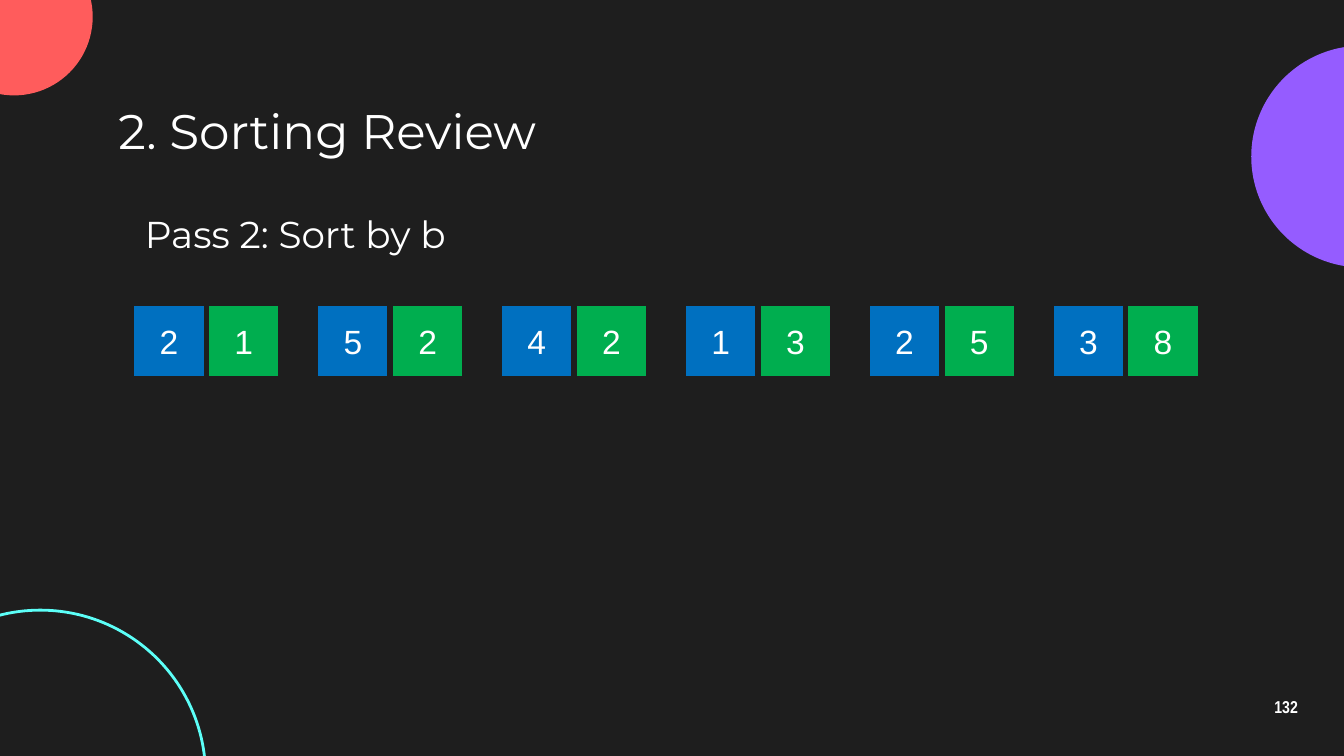
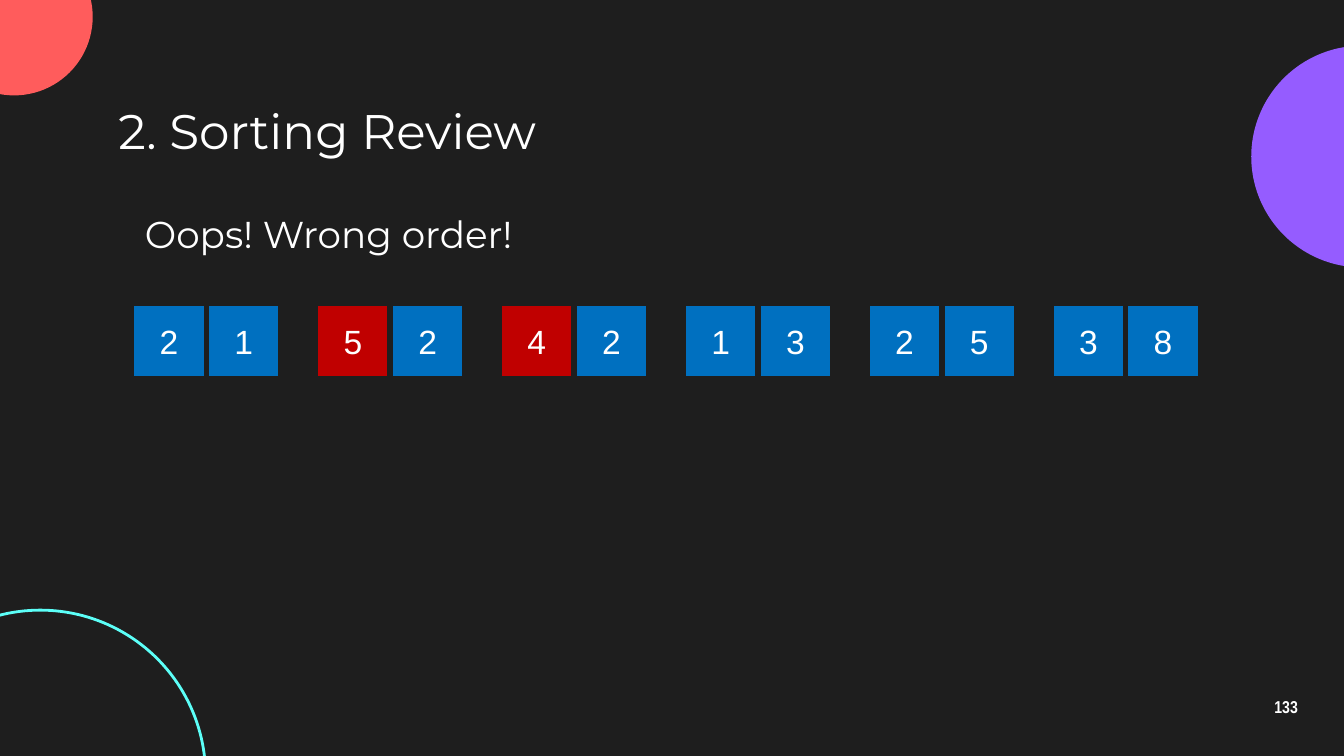
"""Build two slides on the second pass of a sorting review."""
from dataclasses import dataclass

from pptx import Presentation
from pptx.dml.color import RGBColor as Rgb
from pptx.enum.shapes import MSO_SHAPE as Form
from pptx.enum.text import MSO_ANCHOR as Anchor, MSO_AUTO_SIZE as Fit, PP_ALIGN as Align
from pptx.util import Inches, Pt


@dataclass(frozen=True)
class Theme:
    back: str = "1E1E1E"
    ink: str = "FFFFFF"
    blue: str = "0070C0"
    green: str = "00AE4F"
    red: str = "C00000"
    violet: str = "955CFF"
    coral: str = "FF5C5C"
    cyan: str = "5CFFF8"
    head: tuple = ("Montserrat", 26)
    lead: tuple = ("Montserrat", 20)
    digit: tuple = ("Arial", 18)
    page: tuple = ("Arial Narrow", 9.2)
    edge: float = 3
    ring: float = 1.5


class Deck:
    COLS = 100
    SIDE = 5.56
    PITCH = 13.68

    def __init__(self, theme):
        self.theme = theme
        self.prs = Presentation()
        self.prs.slide_width, self.prs.slide_height = Inches(10), Inches(5.625)
        self.unit = self.prs.slide_width / self.COLS
        self.base = self.prs.slide_layouts.get_by_name("Title Only")
        self.paint(self.prs.slide_master.background.fill, theme.back)
        self.slide = None

    def grid(self, *cells):
        return [round(cell * self.unit) for cell in cells]

    def paint(self, fill, tone):
        fill.solid()
        fill.fore_color.rgb = Rgb.from_string(tone)

    def label(self, frame, text, face, align=Align.LEFT, anchor=Anchor.MIDDLE,
              bold=False):
        frame.text = text
        frame.word_wrap = True
        frame.auto_size = Fit.NONE
        frame.vertical_anchor = anchor
        para = frame.paragraphs[0]
        para.alignment = align
        font = para.runs[0].font
        font.name, font.size, font.bold = face[0], Pt(face[1]), bold
        font.color.rgb = Rgb.from_string(self.theme.ink)
        return para

    def pad(self, frame):
        inset, = self.grid(1)
        frame.margin_left = frame.margin_right = inset
        frame.margin_top = frame.margin_bottom = inset

    def shape(self, host, form, box, fill=None, line=None, width=0):
        item = host.shapes.add_shape(form, *self.grid(*box))
        item.shadow.inherit = False
        if fill:
            self.paint(item.fill, fill)
        else:
            item.fill.background()
        if line:
            item.line.color.rgb = Rgb.from_string(line)
            item.line.width = Pt(width)
        else:
            item.line.fill.background()
        return item

    def disc(self, left, top, size, **look):
        item = self.shape(self.slide, Form.OVAL, (left, top, size, size), **look)
        self.base.shapes.element.append(item.element)

    def decor(self):
        theme = self.theme
        self.disc(93.1, 3.4, 16.5, fill=theme.violet)
        self.disc(-4.8, -4.6, 11.7, fill=theme.coral)
        self.disc(-9.3, 45.4, 24.6, line=theme.cyan, width=theme.ring)

    def start(self, title):
        self.slide = self.prs.slides.add_slide(self.base)
        head = self.slide.shapes.title
        head.left, head.top, head.width, head.height = self.grid(7.8, 7.1, 84.4, 5.1)
        self.label(head.text_frame, title, self.theme.head)
        self.pad(head.text_frame)

    def lead(self, text, width):
        box = self.slide.shapes.add_textbox(*self.grid(9.8, 15.2, width, 4.4))
        self.label(box.text_frame, text, self.theme.lead, anchor=Anchor.TOP)
        box.text_frame.auto_size = Fit.SHAPE_TO_FIT_TEXT

    def pair(self, index, digits, tones):
        group = self.slide.shapes.add_group_shape()
        for step, (digit, tone) in enumerate(zip(digits, tones)):
            left = 9.8 + index * self.PITCH + step * self.SIDE
            tile = self.shape(group, Form.RECTANGLE, (left, 22.6, self.SIDE, self.SIDE),
                              tone, self.theme.back, self.theme.edge)
            self.label(tile.text_frame, digit, self.theme.digit, Align.CENTER)

    def page(self, number):
        box = self.slide.shapes.add_textbox(*self.grid(92.7, 51, 6, 3.4))
        para = self.label(box.text_frame, str(number), self.theme.page,
                          Align.CENTER, bold=True)
        para.line_spacing = 0.9
        self.pad(box.text_frame)


def main():
    theme = Theme()
    deck = Deck(theme)
    pairs = ("21", "52", "42", "13", "25", "38")
    views = (
        ("Pass 2: Sort by b", 29.8, theme.blue, theme.green, ()),
        ("Oops! Wrong order!", 32.9, theme.blue, theme.blue, ("52", "42")),
    )
    for number, (text, width, first, second, wrong) in enumerate(views, 132):
        deck.start("2. Sorting Review")
        if number == 132:
            deck.decor()
        deck.lead(text, width)
        for index, digits in enumerate(pairs):
            tone = theme.red if digits in wrong else first
            deck.pair(index, digits, (tone, second))
        deck.page(number)
    deck.prs.save("out.pptx")


if __name__ == "__main__":
    main()
